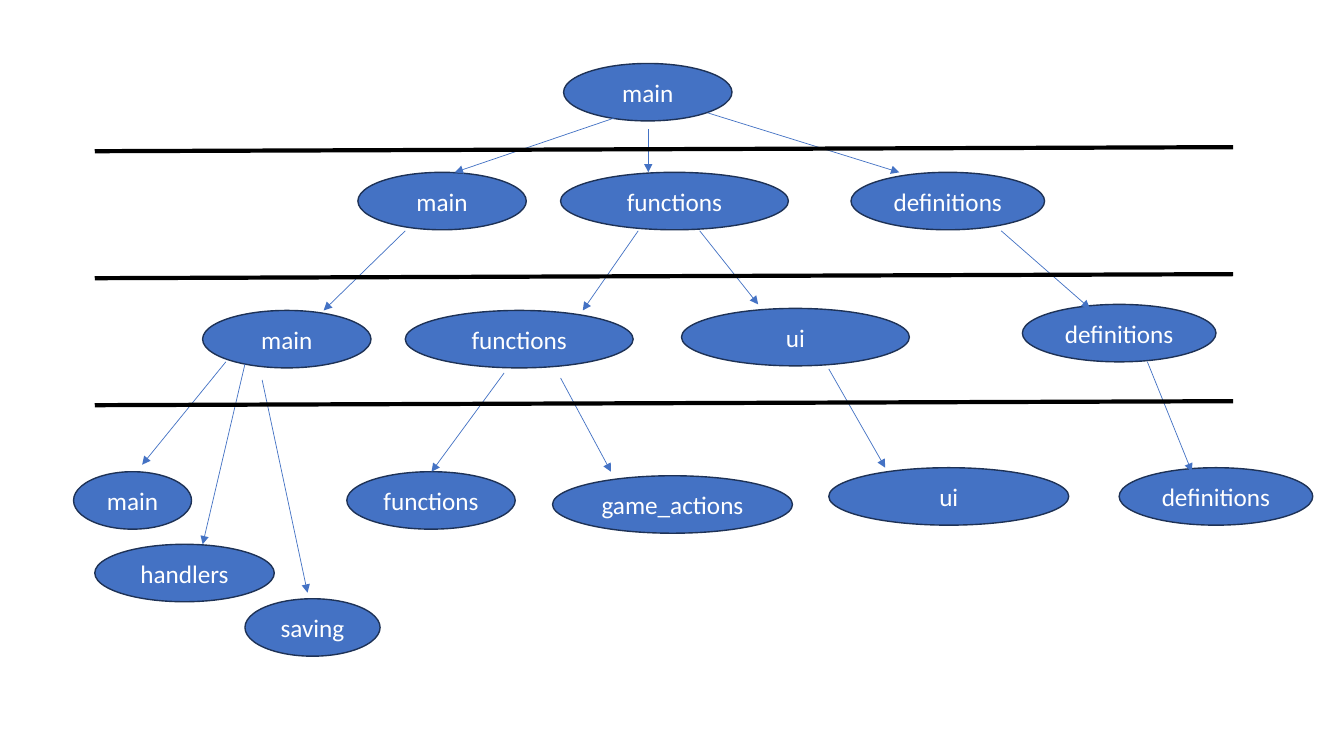
"""Build a slide with a four-level module tree split by three level dividers."""
from lxml import etree
from pptx import Presentation
from pptx.dml.color import RGBColor
from pptx.enum.shapes import MSO_CONNECTOR, MSO_SHAPE
from pptx.enum.text import MSO_ANCHOR, PP_ALIGN
from pptx.oxml.ns import qn
from pptx.util import Emu, Pt

BLUE = RGBColor(0x44, 0x72, 0xC4)
NAVY = RGBColor(0x1E, 0x32, 0x56)
BLACK = RGBColor(0x00, 0x00, 0x00)
WHITE = RGBColor(0xFF, 0xFF, 0xFF)
ELLIPSE = MSO_SHAPE.OVAL
STRAIGHT = MSO_CONNECTOR.STRAIGHT
CENTER = PP_ALIGN.CENTER
MIDDLE = MSO_ANCHOR.MIDDLE

PX = 9144
NODE_HEIGHT = 57
BLANK_LAYOUT = 6

MODULES = [
    ("main", 559, 63, 167),
    ("main", 355, 171, 167),
    ("functions", 556, 171, 226),
    ("definitions", 844, 171, 192),
    ("main", 201, 308, 167),
    ("functions", 402, 308, 226),
    ("ui", 676, 306, 226),
    ("definitions", 1014, 302, 192),
    ("main", 73, 468, 117),
    ("handlers", 94, 540, 178),
    ("saving", 243, 594, 134),
    ("functions", 344, 468, 167),
    ("game_actions", 548, 472, 238),
    ("ui", 822, 464, 238),
    ("definitions", 1110, 464, 192),
]

ARROWS = [
    ((633, 109), (451, 171)),
    ((643, 128), (643, 171)),
    ((702, 112), (892, 171)),
    ((402, 229), (321, 308)),
    ((633, 229), (578, 308)),
    ((694, 229), (752, 302)),
    ((993, 229), (1081, 306)),
    ((224, 359), (141, 461)),
    ((243, 361), (201, 540)),
    ((260, 377), (305, 588)),
    ((500, 370), (428, 468)),
    ((556, 375), (606, 468)),
    ((822, 366), (878, 464)),
    ((1138, 359), (1182, 468)),
]

DIVIDER_LEFT, DIVIDER_RIGHT = 94, 1223
DIVIDER_TOP, DIVIDER_STEP, DIVIDER_RISE = 150, 126, 4
DIVIDER_COUNT = 3


class TreePage:
    """Holds the current slide and the style of its nodes and lines."""

    font_name = "Calibri"
    font_size = Pt(18)

    def __init__(self, page):
        """Keep the slide to draw on."""
        self.shapes = page.shapes

    def node(self, label, left, top, width):
        """Draw a labelled ellipse."""
        box = self.shapes.add_shape(
            ELLIPSE, *(Emu(v * PX) for v in (left, top, width, NODE_HEIGHT)))
        box.shadow.inherit = False
        box.fill.solid()
        box.fill.fore_color.rgb = BLUE
        box.line.color.rgb = NAVY
        box.line.width = Pt(1)
        frame = box.text_frame
        frame.text = label
        frame.word_wrap = False
        frame.vertical_anchor = MIDDLE
        para = frame.paragraphs[0]
        para.alignment = CENTER
        font = para.runs[0].font
        font.name = self.font_name
        font.size = self.font_size
        font.color.rgb = WHITE

    def line(self, start, end, color, width):
        """Draw a straight line without shadow and return it."""
        line = self.shapes.add_connector(
            STRAIGHT, *(Emu(v * PX) for v in (*start, *end)))
        line.line.color.rgb = color
        line.line.width = Pt(width)
        etree.SubElement(line._element.spPr, qn("a:effectLst"))
        return line

    def arrow(self, start, end):
        """Draw a thin line with a triangle at its end."""
        outline = self.line(start, end, BLUE, 0.5).line._get_or_add_ln()
        etree.SubElement(outline, qn("a:tailEnd"), type="triangle")

    def divider(self, top):
        """Draw a thick, slightly rising line between two levels."""
        self.line((DIVIDER_LEFT, top), (DIVIDER_RIGHT, top - DIVIDER_RISE), BLACK, 3)


def main():
    """Create the deck and save it."""
    deck = Presentation()
    deck.slide_width = Emu(1333 * PX)
    deck.slide_height = Emu(750 * PX)
    tree = TreePage(deck.slides.add_slide(deck.slide_layouts[BLANK_LAYOUT]))
    for module in MODULES:
        tree.node(*module)
    for start, end in ARROWS:
        tree.arrow(start, end)
    for level in range(DIVIDER_COUNT):
        tree.divider(DIVIDER_TOP + level * DIVIDER_STEP)
    deck.save("out.pptx")


if __name__ == "__main__":
    main()
